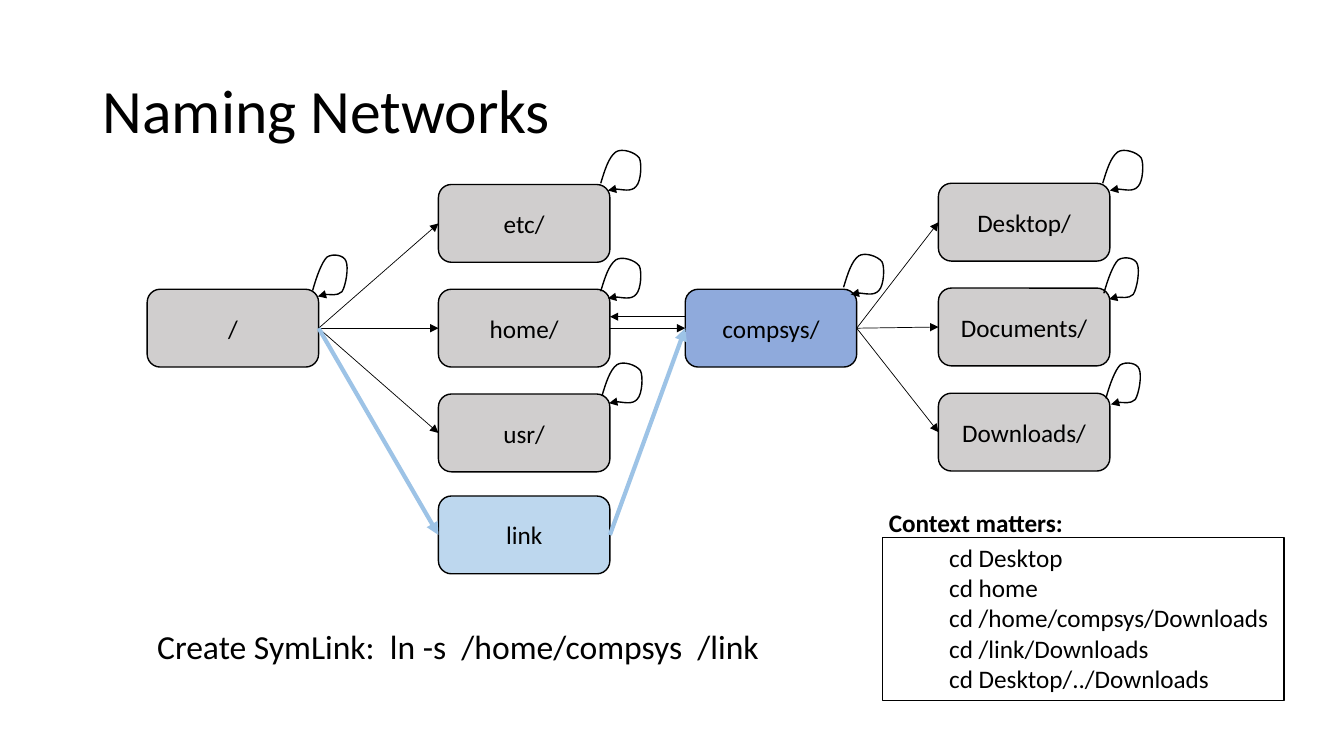
from lxml.etree import SubElement
from pptx import Presentation
from pptx.dml.color import RGBColor
from pptx.enum.shapes import MSO_CONNECTOR as CONNECTOR, MSO_SHAPE as SHAPE
from pptx.enum.text import MSO_ANCHOR as ANCHOR, MSO_AUTO_SIZE as AUTO_SIZE, PP_ALIGN as ALIGN
from pptx.oxml.ns import qn
from pptx.util import Cm, Pt

COLORS = {"ink": "000000", "paper": "FFFFFF", "folder": "D0CECE", "target": "8FAADC",
          "link": "BDD7EE", "link arrow": "9DC3E6"}
FONT = "Calibri"

TITLE = "Naming Networks"
SYMLINK = "Create SymLink:  ln -s  /home/compsys  /link"
CONTEXT = "Context matters:"
COMMANDS = ["cd Desktop", "cd home", "cd /home/compsys/Downloads",
            "cd /link/Downloads", "cd Desktop/../Downloads"]

FOLDER_W, FOLDER_H = 4.32, 1.96
FOLDERS = {
    "/": (3.71, 7.29, "folder"),
    "etc/": (11.05, 4.65, "folder"),
    "home/": (11.05, 7.29, "folder"),
    "usr/": (11.05, 9.93, "folder"),
    "link": (11.05, 12.5, "link"),
    "compsys/": (17.27, 7.29, "target"),
    "Desktop/": (23.65, 4.62, "folder"),
    "Documents/": (23.65, 7.26, "folder"),
    "Downloads/": (23.65, 9.91, "folder"),
}
CHILDREN = {
    "/": ["etc/", "home/", "usr/"],
    "home/": ["compsys/"],
    "compsys/": ["Desktop/", "Documents/", "Downloads/"],
}
LINK_ROUTE = [("/", "link"), ("link", "compsys/")]
PARENT_ARROW_Y = 7.98

WIDE = [(0, 0), (.1, -.33), (.2, -.66), (.38, -.79), (.53, -.89), (.86, -.79), (.97, -.64),
        (1.04, -.51), (1.02, -.05), (.89, .08), (.76, .23), (.18, .08), (.18, .18)]
NARROW = [(0, 0), (.1, -.36), (.23, -.71), (.36, -.84), (.51, -.94), (.79, -.89), (.84, -.74),
          (.91, -.58), (.84, -.13), (.74, .03), (.61, .15), (.15, .05), (.13, .15)]
SELF_LOOPS = {
    "/": (NARROW, -.15, .03),
    "etc/": (WIDE, -.23, -.03),
    "home/": (WIDE, -.23, .05),
    "usr/": (WIDE, -.2, .05),
    "compsys/": (WIDE, -.33, -.05),
    "Desktop/": (WIDE, -.18, 0),
    "Documents/": (NARROW, -.15, .13),
    "Downloads/": (NARROW, -.1, .13),
}

prs = Presentation()
prs.slide_width, prs.slide_height = Cm(33.87), Cm(19.05)
slide = prs.slides.add_slide(prs.slide_layouts[6])
shapes = slide.shapes


def rgb(name):
    return RGBColor.from_string(COLORS[name])


def paint(item, color):
    item.fill.solid()
    item.fill.fore_color.rgb = rgb(color)


def outline(item, color, width):
    item.line.color.rgb = rgb(color)
    item.line.width = Pt(width)


def write(frame, lines, size, bold=False, align=ALIGN.LEFT):
    frame.text = "\n".join(lines)
    for paragraph in frame.paragraphs:
        paragraph.alignment = align
        for run in paragraph.runs:
            run.font.name, run.font.size, run.font.bold = FONT, Pt(size), bold
            run.font.color.rgb = rgb("ink")


def add_panel(left, top, width, height, lines, size, border, wrap=True):
    panel = shapes.add_shape(SHAPE.RECTANGLE, Cm(left), Cm(top), Cm(width), Cm(height))
    panel.shadow.inherit = False
    panel.fill.background()
    outline(panel, border, .75)
    write(panel.text_frame, lines, size)
    panel.text_frame.vertical_anchor = ANCHOR.TOP
    panel.text_frame.word_wrap = wrap
    return panel


def add_head(item):
    SubElement(item.line._get_or_add_ln(), qn("a:tailEnd"), type="triangle")


def add_arrow(start, end, color="ink", width=.5):
    arrow = shapes.add_connector(CONNECTOR.STRAIGHT, *(Cm(v) for v in start + end))
    outline(arrow, color, width)
    add_head(arrow)
    SubElement(arrow._element.spPr, qn("a:effectLst"))
    return arrow


def join(parent, child, color="ink", width=.5):
    arrow = add_arrow((0, 0), (1, 1), color, width)
    arrow.begin_connect(boxes[parent], 3)
    arrow.end_connect(boxes[child], 1)


def bend(loop):
    segments = list(loop._element.iter(qn("a:lnTo")))
    outline_xml = segments[0].getparent()
    for first in range(0, len(segments), 3):
        curve = SubElement(outline_xml, qn("a:cubicBezTo"))
        for segment in segments[first:first + 3]:
            curve.append(segment[0])
            outline_xml.remove(segment)


title = add_panel(2.34, 1.02, 29.21, 3.68, [TITLE], 44, "paper")
title.text_frame.vertical_anchor = ANCHOR.MIDDLE
title.text_frame.paragraphs[0].line_spacing = .9

boxes = {}
for folder, (left, top, color) in FOLDERS.items():
    box = shapes.add_shape(SHAPE.ROUNDED_RECTANGLE, Cm(left), Cm(top), Cm(FOLDER_W), Cm(FOLDER_H))
    box.shadow.inherit = False
    paint(box, color)
    outline(box, "ink", 1)
    write(box.text_frame, [folder], 18, align=ALIGN.CENTER)
    box.text_frame.vertical_anchor = ANCHOR.MIDDLE
    boxes[folder] = box

for parent, children in CHILDREN.items():
    for child in children:
        join(parent, child)
home_right = FOLDERS["home/"][0] + FOLDER_W
add_arrow((FOLDERS["compsys/"][0], PARENT_ARROW_Y), (home_right, PARENT_ARROW_Y))

for folder, (controls, dx, dy) in SELF_LOOPS.items():
    left, top, _ = FOLDERS[folder]
    start_x, start_y = left + FOLDER_W + dx, top + dy
    points = [(Cm(start_x + x), Cm(start_y + y)) for x, y in controls]
    builder = shapes.build_freeform(*points[0])
    builder.add_line_segments(points[1:], close=False)
    loop = builder.convert_to_shape()
    bend(loop)
    loop.shadow.inherit = False
    loop.fill.background()
    outline(loop, "ink", 1)
    add_head(loop)

for parent, child in LINK_ROUTE:
    join(parent, child, "link arrow", 3)

symlink = add_panel(3.71, 15.65, 15.8, 1.27, [SYMLINK], 24, "paper", wrap=False)
paint(symlink, "paper")

commands = add_panel(22.23, 13.54, 10.13, 4.11, COMMANDS, 18, "ink")
for paragraph in commands.text_frame.paragraphs:
    paragraph._p.get_or_add_pPr().set("marL", str(Cm(1.44)))

context = shapes.add_textbox(Cm(22.15), Cm(12.65), Cm(4.95), Cm(1.02))
write(context.text_frame, [CONTEXT], 18, bold=True)
context.text_frame.word_wrap = False
for box in (symlink, commands, context):
    box.text_frame.auto_size = AUTO_SIZE.SHAPE_TO_FIT_TEXT

prs.save("out.pptx")
